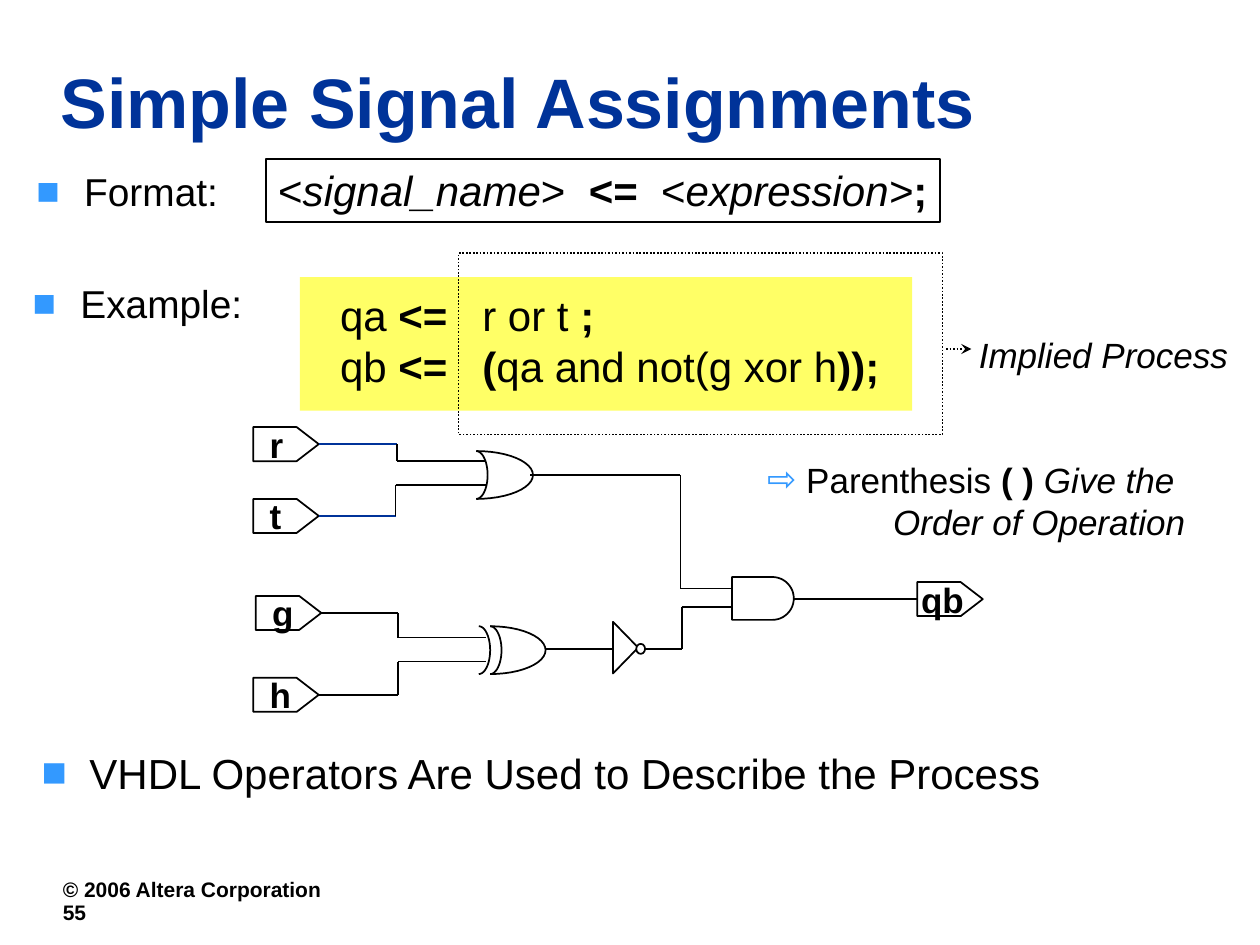
from dataclasses import dataclass
from itertools import pairwise
from math import cos, pi, sin

from lxml.etree import SubElement
from pptx import Presentation
from pptx.dml.color import RGBColor
from pptx.enum.dml import MSO_LINE
from pptx.enum.shapes import MSO_CONNECTOR, MSO_SHAPE
from pptx.enum.text import MSO_ANCHOR, MSO_AUTO_SIZE, PP_ALIGN
from pptx.oxml import parse_xml
from pptx.oxml.ns import nsdecls, qn
from pptx.util import Inches, Pt


@dataclass(frozen=True)
class Theme:
    """Colours, font and type sizes of the slide."""
    font: str = "Arial"
    ink: str = "000000"
    navy: str = "003399"
    bullet: str = "3399FF"
    paper: str = "FFFFFF"
    highlight: str = "FFFF66"
    title: float = 40
    code: float = 24
    lead: float = 22.2
    note: float = 20
    small: float = 12
    line: float = 1


@dataclass(frozen=True)
class Box:
    """An area on a grid of 100 columns by 75 rows."""
    col: float
    row: float
    cols: float
    rows: float

    def inner(self, col, row, cols, rows):
        """Return a box placed relative to this one."""
        return Box(self.col + col, self.row + row, cols, rows)

    def point(self, col, row):
        """Return a position inside this box as slide lengths."""
        return Inches((self.col + col) / 10), Inches((self.row + row) / 10)

    def frame(self):
        """Return left, top, width and height as slide lengths."""
        return (*self.point(0, 0), Inches(self.cols / 10), Inches(self.rows / 10))


THEME = Theme()
PLAIN, BOLD, ITALIC = {}, {"bold": True}, {"italic": True}


def apply(target, values):
    """Set each named attribute on the target."""
    for name, value in values.items():
        setattr(target, name, value)


def write(text_frame, lines, size, color=THEME.ink, **settings):
    """Fill a text frame with lines made of (text, format) spans."""
    apply(text_frame, settings)
    for index, line in enumerate(lines):
        para = text_frame.paragraphs[0] if index == 0 else text_frame.add_paragraph()
        apply(para, {"alignment": PP_ALIGN.LEFT, "space_before": Pt(0)})
        for text, style in line:
            span = para.add_run()
            span.text = text
            span.font.color.rgb = RGBColor.from_string(color)
            apply(span.font, {"name": THEME.font, "size": Pt(size), **style})


def indent(para, left, first, mark=None):
    """Set the indents of a paragraph in inches, with an optional bullet."""
    properties = para._p.get_or_add_pPr()
    properties.set("marL", str(Inches(left)))
    properties.set("indent", str(Inches(first)))
    if mark:
        color = SubElement(properties, qn("a:buClr"))
        SubElement(color, qn("a:srgbClr"), val=THEME.bullet)
        SubElement(properties, qn("a:buFont"), typeface=THEME.font)
        SubElement(properties, qn("a:buChar"), char=mark)


def paint(shape, fill=None, line=THEME.ink, dash=None):
    """Give a shape its fill and outline, without shadow."""
    shape.shadow.inherit = False
    for part, color in ((shape.fill, fill), (shape.line.fill, line)):
        if color:
            part.solid()
            part.fore_color.rgb = RGBColor.from_string(color)
        else:
            part.background()
    if line:
        apply(shape.line, {"width": Pt(THEME.line), "dash_style": dash})
    return shape


def add_text(page, box, lines, size, **settings):
    """Add a text box."""
    text_frame = page.shapes.add_textbox(*box.frame()).text_frame
    write(text_frame, lines, size, **settings)
    return text_frame


def add_shape(page, kind, box, **look):
    """Add a painted preset shape."""
    return paint(page.shapes.add_shape(kind, *box.frame()), **look)


def add_line(page, start, end, color=THEME.ink):
    """Add a straight connector without shadow."""
    line = page.shapes.add_connector(MSO_CONNECTOR.STRAIGHT, *start, *end)
    line.line.color.rgb = RGBColor.from_string(color)
    line.line.width = Pt(THEME.line)
    SubElement(line._element.spPr, qn("a:effectLst"))
    return line


def add_title(page, box):
    """Fill the title placeholder and give its text a soft shadow."""
    title = page.shapes.title
    apply(title, dict(zip(("left", "top", "width", "height"), box.frame())))
    write(title.text_frame, [[("Simple Signal Assignments", BOLD)]], THEME.title, THEME.navy,
          vertical_anchor=MSO_ANCHOR.MIDDLE, word_wrap=True)
    fill = title.text_frame.paragraphs[0].runs[0]._r.rPr.find(qn("a:solidFill"))
    fill.addnext(parse_xml(
        f'<a:effectLst {nsdecls("a")}><a:outerShdw dist="28575" dir="2700000">'
        '<a:srgbClr val="C0C0C0"/></a:outerShdw></a:effectLst>'))


def add_bullet(page, box, text, size, holder=None):
    """Write a bulleted line in a placeholder or in a new text box."""
    holder = holder or page.shapes.add_textbox(*box.frame())
    apply(holder, dict(zip(("left", "top", "width", "height"), box.frame())))
    indent(holder.text_frame.paragraphs[0], 0.38, -0.38, "■")
    write(holder.text_frame, [[(text, PLAIN)]], size, word_wrap=True,
          auto_size=MSO_AUTO_SIZE.NONE)


def add_format(page, box):
    """Add the framed syntax line."""
    frame = add_shape(page, MSO_SHAPE.RECTANGLE, box)
    syntax = [("<", PLAIN), ("signal_name", ITALIC), (">  ", PLAIN), ("<=  ", BOLD),
              ("<", PLAIN), ("expression>", ITALIC), (";", BOLD)]
    write(frame.text_frame, [syntax], THEME.code, word_wrap=False,
          vertical_anchor=MSO_ANCHOR.TOP)


def add_example(page, box):
    """Add the highlighted code, its dotted frame and the process note."""
    add_shape(page, MSO_SHAPE.RECTANGLE, box.inner(0, 1.9, 48.6, 10.6),
              fill=THEME.highlight, line=None)
    code = [[("qa ", PLAIN), ("<=", BOLD), ("   r or t ", PLAIN), (";", BOLD)],
            [("qb ", PLAIN), ("<=   (", BOLD), ("qa and not(g xor h", PLAIN), ("));", BOLD)]]
    add_text(page, box.inner(2.2, 2.4, 44.8, 9), code, THEME.code, word_wrap=False)
    add_shape(page, MSO_SHAPE.RECTANGLE, box.inner(12.6, 0, 38.4, 14.4),
              dash=MSO_LINE.ROUND_DOT)
    arrow = add_line(page, box.point(51.3, 7.6), box.point(53.3, 7.6))
    arrow.line.dash_style = MSO_LINE.ROUND_DOT
    SubElement(arrow.line._get_or_add_ln(), qn("a:tailEnd"), type="stealth")
    add_text(page, box.inner(52.9, 5.9, 21.8, 4.3), [[("Implied Process", ITALIC)]],
             THEME.note, word_wrap=False)


def add_order_note(page, box):
    """Add the note on parentheses."""
    lines = [[("Parenthesis", PLAIN), (" ( )", BOLD), (" Give the", ITALIC)],
             [("Order of Operation", ITALIC)]]
    text_frame = page.shapes.add_textbox(*box.frame()).text_frame
    indent(text_frame.paragraphs[0], 0.31, -0.31, "⇨")
    write(text_frame, lines, THEME.note, word_wrap=False)
    indent(text_frame.paragraphs[1], 1, 0)


def add_pin(page, box, name, inset):
    """Add a named input or output pin."""
    pin = add_shape(page, MSO_SHAPE.PENTAGON, box, fill=THEME.paper)
    pin.adjustments[0] = 0.65
    write(pin.text_frame, [[(name, BOLD)]], THEME.note, word_wrap=False,
          vertical_anchor=MSO_ANCHOR.MIDDLE, margin_left=Inches(inset),
          margin_right=0, margin_top=0, margin_bottom=0)
    return pin


def add_curve(page, box, tail=()):
    """Draw the right half of an ellipse, closed through the tail points if given."""
    steps = 24
    angles = [pi * step / steps - pi / 2 for step in range(steps + 1)]
    points = [box.point(box.cols * cos(angle), box.rows * (1 + sin(angle)) / 2)
              for angle in angles] + [box.point(*corner) for corner in tail]
    builder = page.shapes.build_freeform(*points[0])
    builder.add_line_segments(points[1:], close=bool(tail))
    paint(builder.convert_to_shape())


def add_circuit(page, box):
    """Draw the pins, wires and gates of the logic circuit."""
    places = {"r": (0.1, 0.9), "t": (0.1, 6.6), "g": (0.3, 14.3), "h": (0.1, 20.8),
              "qb": (52.8, 13.2)}
    pins = {name: add_pin(page, box.inner(*place, 5.2, 2.7), name,
                          0.03 if name == "qb" else 0.13)
            for name, place in places.items()}
    inputs = {"r": (11.5, 3.6, THEME.navy), "t": (11.4, 5.5, THEME.navy),
              "g": (11.6, 17.6, THEME.ink), "h": (11.6, 19.5, THEME.ink)}
    routes = [[(22.1, 4.7), (34, 4.7), (34, 13.7), (38.1, 13.7)],
              [(23.3, 18.5), (34.1, 18.5), (34.1, 15.2), (38.1, 15.2)]]
    for name, (turn, port, color) in inputs.items():
        level = places[name][1] + 1.35
        lead = add_line(page, box.point(5.3, level), box.point(turn, level), color)
        lead.begin_connect(pins[name], 3)
        routes.append([(turn, level), (turn, port), (18.6, port)])
    for route in routes:
        for start, end in pairwise(route):
            add_line(page, box.point(*start), box.point(*end))
    output = add_line(page, box.point(43, 14.55), box.point(52.8, 14.55))
    output.end_connect(pins["qb"], 1)
    curves = [(17.8, 2.8, 0.9), (17.8, 2.8, 4.5),
              (18, 16.7, 0.9), (18.9, 16.7, 0.9), (18.9, 16.7, 4.4)]
    for col, row, cols in curves:
        add_curve(page, box.inner(col, row, cols, 3.8))
    add_curve(page, box.inner(41.3, 12.8, 1.7, 3.4), tail=[(-3.2, 3.4), (-3.2, 0)])
    inverter = add_shape(page, MSO_SHAPE.ISOSCELES_TRIANGLE,
                         box.inner(27.6, 17.4, 4.1, 2), fill=THEME.paper)
    inverter.rotation = 90
    add_shape(page, MSO_SHAPE.OVAL, box.inner(30.5, 18.1, 0.7, 0.8), fill=THEME.paper)


def add_footer(page, box):
    """Add the copyright line and the page number."""
    for top, text in ((0, "© 2006 Altera Corporation"), (1.8, "55")):
        add_text(page, box.inner(0, top, box.cols, 3.1), [[(text, BOLD)]], THEME.small)


def main():
    """Build and save the slide."""
    deck = Presentation()
    apply(deck, {"slide_width": Inches(10), "slide_height": Inches(7.5)})
    page = deck.slides.add_slide(deck.slide_layouts[1])
    add_title(page, Box(3.8, 3, 91.1, 10))
    add_bullet(page, Box(1.9, 12.8, 97.2, 4.7), "Format:", THEME.lead)
    add_format(page, Box(21.1, 12.6, 53.5, 5))
    add_bullet(page, Box(1.6, 21.7, 97.2, 4.7), "Example:", THEME.lead)
    add_circuit(page, Box(20, 33, 60, 25))
    add_bullet(page, Box(2.3, 58.8, 86.5, 12),
               "VHDL Operators Are Used to Describe the Process", THEME.code,
               page.placeholders[1])
    add_example(page, Box(23.8, 20.1, 74.7, 14.4))
    add_order_note(page, Box(59.9, 35.9, 35.5, 7.7))
    add_footer(page, Box(4, 69.1, 46.5, 4.9))
    deck.save("out.pptx")


if __name__ == "__main__":
    main()
